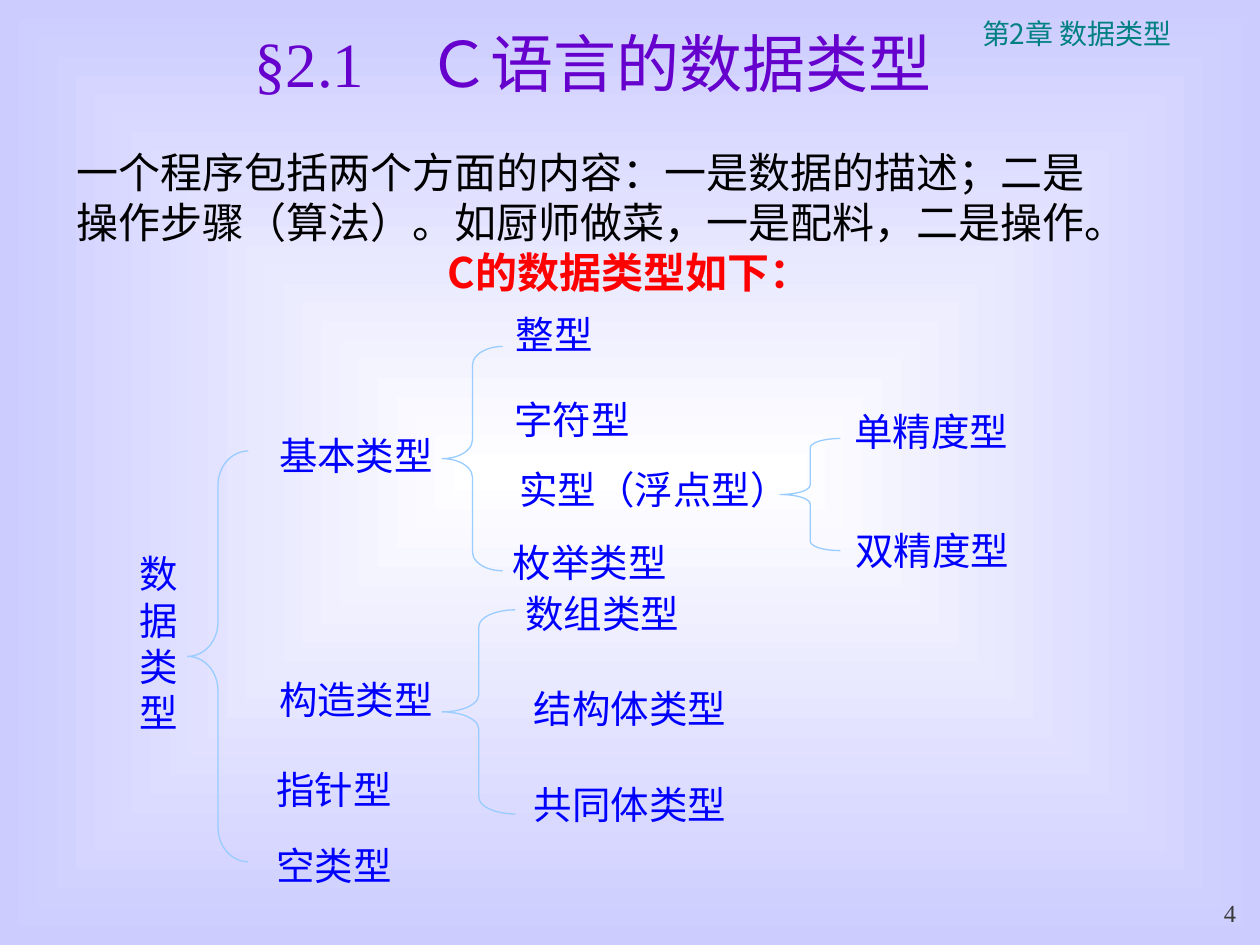
from pptx import Presentation
from pptx.dml.color import RGBColor
from pptx.enum.shapes import MSO_SHAPE
from pptx.enum.text import MSO_ANCHOR, PP_ALIGN
from pptx.oxml import parse_xml
from pptx.oxml.ns import nsdecls, qn
from pptx.util import Inches, Pt

SERIF = "Times New Roman"
SANS = "Noto Sans CJK SC"
HEADER_SANS = "Noto Sans CJK JP"
LABEL_HEIGHT = 0.47


def color(hex_string):
    return RGBColor.from_string(hex_string)


def style_span(span, size, font, hex_string, bold=False):
    span.font.size = Pt(size)
    span.font.name = font
    span.font.bold = bold
    span.font.color.rgb = color(hex_string)
    east_asian = HEADER_SANS if font == HEADER_SANS else SANS
    span.font._element.get_or_add_latin().addnext(
        parse_xml(f'<a:ea {nsdecls("a")} typeface="{east_asian}"/>'))


def add_text(page, box, lines, size, font, hex_string,
             align=PP_ALIGN.CENTER, anchor=MSO_ANCHOR.TOP):
    """Add one paragraph per line; box is left, top, width, height in inches."""
    frame = page.shapes.add_textbox(*map(Inches, box)).text_frame
    frame.word_wrap = True
    frame.vertical_anchor = anchor
    frame.text = "\n".join(lines)
    for para in frame.paragraphs:
        para.alignment = align
        for span in para.runs:
            style_span(span, size, font, hex_string)
    return frame


def paint_background(page):
    fill = page.background.fill
    fill.gradient()
    for stop, hex_string in zip(fill.gradient_stops, ("FFFFFF", "CCCCFF")):
        stop.color.rgb = color(hex_string)
    gradient = page._element.find(".//" + qn("a:gradFill"))
    gradient.replace(gradient.find(qn("a:lin")), parse_xml(
        f'<a:path {nsdecls("a")} path="rect">'
        '<a:fillToRect l="50000" t="50000" r="50000" b="50000"/></a:path>'))


def add_title(page, box):
    frame = add_text(page, box, ["§2.1　Ｃ语言的"], 36, SERIF, "6600CC",
                     anchor=MSO_ANCHOR.MIDDLE)
    span = frame.paragraphs[0].add_run()
    span.text = "数据类型"
    style_span(span, 36, SANS, "6600CC")


def add_introduction(page, box):
    frame = add_text(page, box, [
        "一个程序包括两个方面的内容：一是数据的描述；二是",
        "操作步骤（算法）。如厨师做菜，一是配料，二是操作。",
        "C的数据类型如下：",
    ], 24, SANS, "000000", PP_ALIGN.LEFT, MSO_ANCHOR.MIDDLE)
    *body, heading = frame.paragraphs
    for para in body:
        para._p.get_or_add_pPr().set("marL", str(Inches(0.16)))
    heading.alignment = PP_ALIGN.CENTER
    heading.runs[0].font.bold = True
    heading.runs[0].font.color.rgb = color("FF0000")


def add_label(page, text, left, top, width, height=LABEL_HEIGHT):
    add_text(page, (left, top, width, height), [text], 22, SERIF, "0000FF")


def add_branch(page, brace_box, labels):
    """Draw a brace and the labels (text, left, top, width) it gathers."""
    brace = page.shapes.add_shape(MSO_SHAPE.LEFT_BRACE, *map(Inches, brace_box))
    brace.shadow.inherit = False
    brace.fill.background()
    brace.line.color.rgb = color("99CCFF")
    brace.line.width = Pt(0.75)
    width, height = brace_box[2:]
    brace.adjustments[0] = height / 12 / width
    for label in labels:
        add_label(page, *label)


def add_type_tree(page):
    add_label(page, "数据类型", 1.01, 4.32, 0.48, 1.57)
    add_branch(page, (1.49, 3.58, 0.48, 3.26), [
        ("基本类型", 1.95, 3.38, 1.75),
        ("构造类型", 1.95, 5.32, 1.75),
        ("指针型", 1.95, 6.03, 1.4),
        ("空类型", 1.95, 6.63, 1.4),
    ])
    add_branch(page, (3.51, 2.75, 0.48, 1.78), [
        ("整型", 3.51, 2.42, 1.78),
        ("字符型", 3.65, 3.09, 1.78),
        ("实型（浮点型）", 3.89, 3.65, 2.6),
        ("枚举类型", 3.79, 4.23, 1.78),
    ])
    add_branch(page, (6.19, 3.48, 0.48, 0.89), [
        ("单精度型", 6.48, 3.19, 1.82),
        ("双精度型", 6.49, 4.13, 1.82),
    ])
    add_branch(page, (3.51, 4.84, 0.58, 1.62), [
        ("数组类型", 3.7, 4.63, 2.16),
        ("结构体类型", 3.7, 5.39, 2.6),
        ("共同体类型", 3.7, 6.15, 2.6),
    ])


def main():
    deck = Presentation()
    deck.slide_width, deck.slide_height = Inches(10), Inches(7.5)
    page = deck.slides.add_slide(deck.slide_layouts[6])
    paint_background(page)
    add_text(page, (7.17, 0.08, 2.75, 0.37), ["第2章 数据类型"],
             16, HEADER_SANS, "008080")
    add_title(page, (1.33, 0.08, 6.75, 0.83))
    add_introduction(page, (0.35, 1.11, 9.29, 1.3))
    add_type_tree(page)
    add_text(page, (9.33, 7.08, 0.58, 0.33), ["4"], 14, SERIF, "393939",
             PP_ALIGN.RIGHT, MSO_ANCHOR.BOTTOM)
    deck.save("out.pptx")


if __name__ == "__main__":
    main()
